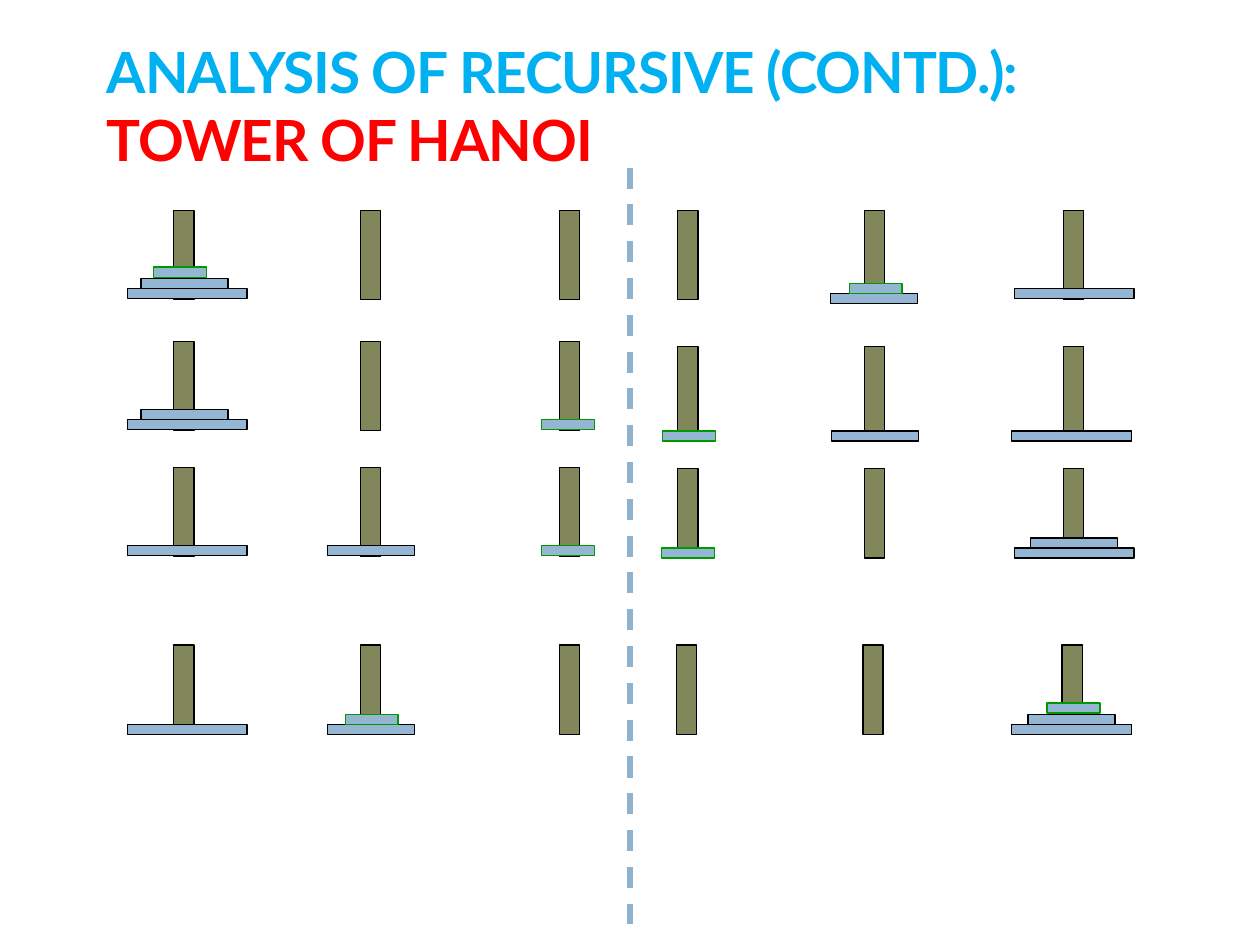
from pptx import Presentation
from pptx.dml.color import RGBColor
from pptx.enum.dml import MSO_LINE
from pptx.enum.shapes import MSO_CONNECTOR, MSO_SHAPE
from pptx.enum.text import MSO_ANCHOR
from pptx.oxml.ns import qn
from pptx.util import Pt
from lxml import etree

PX = 9144  # EMU per px, at 100 px to the inch

SKY = RGBColor(0x00, 0xB0, 0xF0)
RED = RGBColor(0xFF, 0x00, 0x00)
OLIVE = RGBColor(0x81, 0x87, 0x5A)
BLUE = RGBColor(0x94, 0xB6, 0xD2)
DIVIDER = RGBColor(0x8F, 0xB2, 0xCF)
BLACK = RGBColor(0x00, 0x00, 0x00)
GREEN = RGBColor(0x00, 0x99, 0x00)

TITLE = [("ANALYSIS OF RECURSIVE (CONTD.): ", SKY), ("TOWER OF HANOI", RED)]

PEG_OFFSETS = (0, 148, 306)
PEG_WIDTH, PEG_HEIGHT, DISK_HEIGHT = 16, 71, 8
DISKS = {"large": (95, BLACK), "medium": (69, BLACK), "small": (42, GREEN)}

# Each state: left of first peg, top of pegs, disks as (size, left, top)
STATES = [
    (138, 167, [("large", 101, 229), ("medium", 112, 221), ("small", 122, 212)]),
    (138, 271, [("large", 101, 333), ("medium", 112, 325), ("small", 430, 333)]),
    (138, 371, [("large", 101, 433), ("medium", 260, 433), ("small", 430, 433)]),
    (138, 512, [("large", 101, 575), ("medium", 260, 575), ("small", 274, 567)]),
    (538, 167, [("large", 805, 229), ("medium", 659, 233), ("small", 674, 225)]),
    (538, 275, [("large", 803, 342), ("medium", 660, 342), ("small", 526, 342)]),
    (538, 372, [("large", 805, 435), ("medium", 818, 427), ("small", 525, 435)]),
    (537, 512, [("large", 803, 575), ("medium", 816, 567), ("small", 831, 558)]),
]


def px(*lengths):
    return [length * PX for length in lengths]


def add_block(shapes, left, top, width, height, fill, outline):
    block = shapes.add_shape(MSO_SHAPE.RECTANGLE, *px(left, top, width, height))
    block.shadow.inherit = False
    block.fill.solid()
    block.fill.fore_color.rgb = fill
    block.line.color.rgb = outline
    block.line.width = Pt(0.75)


def add_state(slide, first_peg, peg_top, disks):
    shapes = slide.shapes.add_group_shape().shapes
    for offset in PEG_OFFSETS:
        add_block(shapes, first_peg + offset, peg_top, PEG_WIDTH, PEG_HEIGHT, OLIVE, BLACK)
    for size, left, top in disks:
        width, outline = DISKS[size]
        add_block(shapes, left, top, width, DISK_HEIGHT, BLUE, outline)


def add_title(slide):
    frame = slide.shapes.add_textbox(*px(75, 25, 858, 117)).text_frame
    frame.word_wrap = True
    frame.vertical_anchor = MSO_ANCHOR.BOTTOM
    paragraph = frame.paragraphs[0]
    paragraph.font.name = "Lato"
    paragraph.font.size = Pt(32.4)
    paragraph.font.bold = True
    for text, color in TITLE:
        run = paragraph.add_run()
        run.text = text
        run.font.color.rgb = color
        run.font._element.set("spc", "-60")


def add_divider(slide):
    divider = slide.shapes.add_connector(MSO_CONNECTOR.STRAIGHT, *px(500, 133, 500, 733))
    divider.line.color.rgb = DIVIDER
    divider.line.width = Pt(3)
    divider.line.dash_style = MSO_LINE.DASH
    etree.SubElement(divider._element.spPr, qn("a:effectLst"))


def main():
    presentation = Presentation()
    presentation.slide_width, presentation.slide_height = px(1000, 750)
    slide = presentation.slides.add_slide(presentation.slide_layouts[6])
    add_title(slide)
    for state in STATES:
        add_state(slide, *state)
    add_divider(slide)
    presentation.save("out.pptx")


if __name__ == "__main__":
    main()
